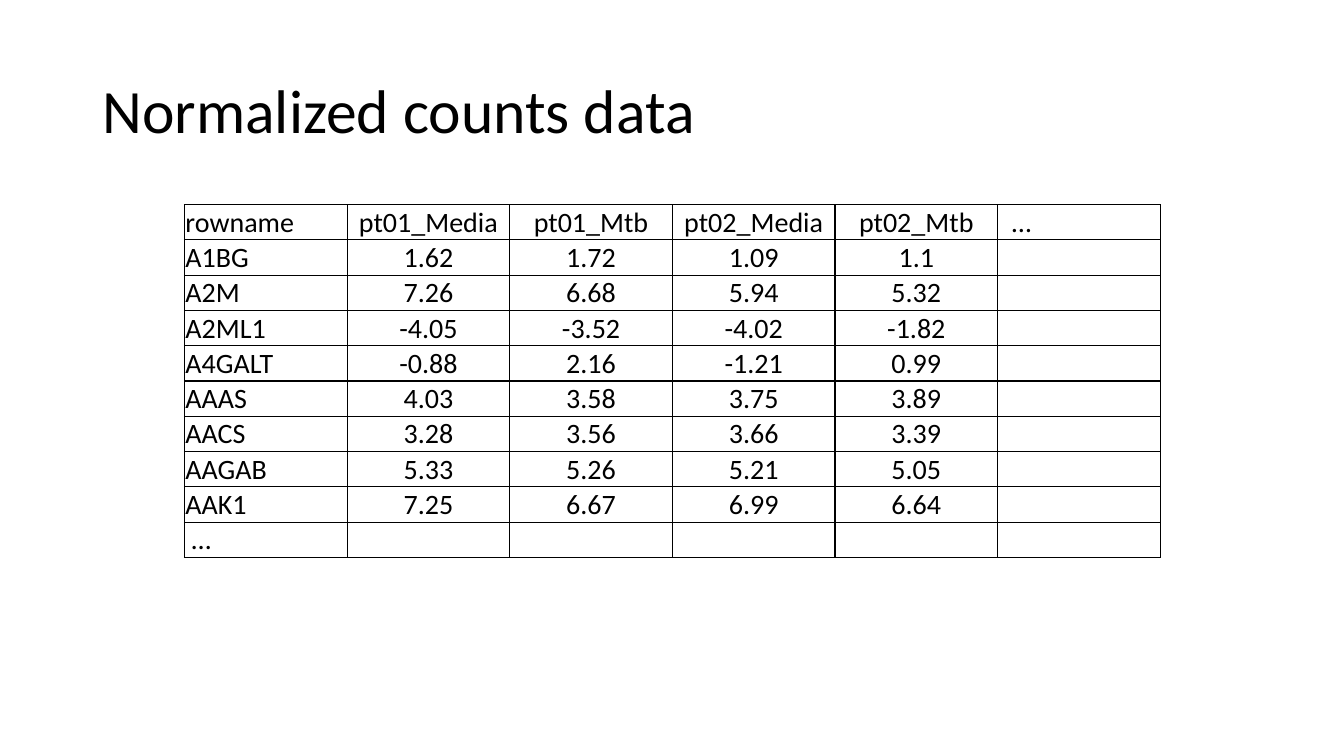
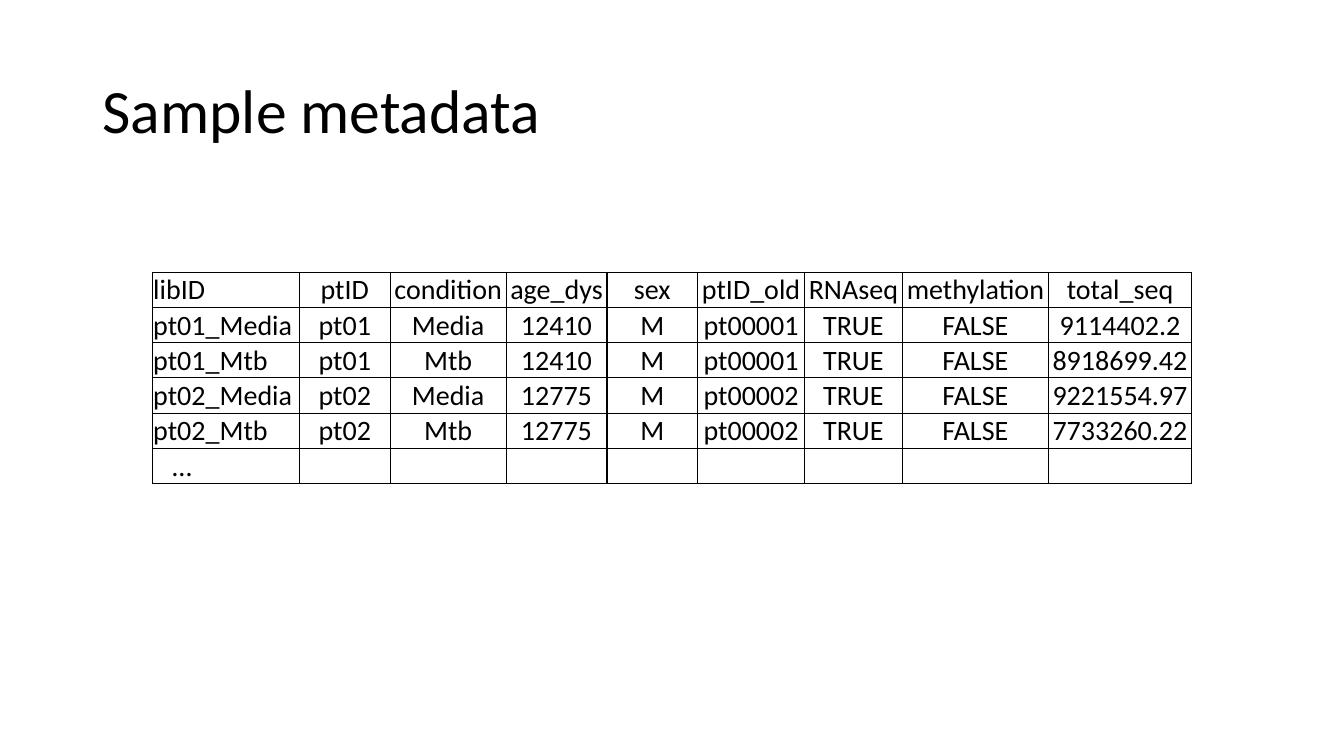
"""Build two slides of example tables: normalized counts and sample metadata."""
from lxml import etree
from pptx import Presentation
from pptx.dml.color import RGBColor
from pptx.enum.text import MSO_ANCHOR as ANCHOR, PP_ALIGN as ALIGN
from pptx.oxml import parse_xml
from pptx.oxml.ns import nsdecls
from pptx.util import Inches, Pt

BLACK = RGBColor(0x00, 0x00, 0x00)
FONT = "Calibri"
ROW_HEIGHT = 0.35
CELL_FORMAT = {
    "margin_left": Inches(0.01),
    "margin_right": Inches(0.01),
    "margin_top": Inches(0.01),
    "margin_bottom": 0,
    "vertical_anchor": ANCHOR.BOTTOM,
}
TITLE_FORMAT = {"word_wrap": True, "vertical_anchor": ANCHOR.MIDDLE}
BORDER = (
    '<a:{side} {ns} w="12700"><a:solidFill><a:srgbClr val="{color}"/>'
    "</a:solidFill></a:{side}>"
)

SLIDES = [
    {
        "title": "Normalized counts data",
        "left": 1.83,
        "top": 2.03,
        "widths": [9.68 / 6] * 6,
        "indents": {(0, 5): 0.14, (9, 0): 0.07},
        "rows": [
            ["rowname", "pt01_Media", "pt01_Mtb", "pt02_Media", "pt02_Mtb", "…"],
            ["A1BG", "1.62", "1.72", "1.09", "1.1"],
            ["A2M", "7.26", "6.68", "5.94", "5.32"],
            ["A2ML1", "-4.05", "-3.52", "-4.02", "-1.82"],
            ["A4GALT", "-0.88", "2.16", "-1.21", "0.99"],
            ["AAAS", "4.03", "3.58", "3.75", "3.89"],
            ["AACS", "3.28", "3.56", "3.66", "3.39"],
            ["AAGAB", "5.33", "5.26", "5.21", "5.05"],
            ["AAK1", "7.25", "6.67", "6.99", "6.64"],
            ["…"],
        ],
    },
    {
        "title": "Sample metadata",
        "left": 1.51,
        "top": 2.7,
        "widths": [1.46, 0.9, 1.15, 1, 0.9, 1.06, 0.97, 1.45, 1.42],
        "indents": {(5, 0): 0.2},
        "rows": [
            ["libID", "ptID", "condition", "age_dys", "sex", "ptID_old",
             "RNAseq", "methylation", "total_seq"],
            ["pt01_Media", "pt01", "Media", "12410", "M", "pt00001",
             "TRUE", "FALSE", "9114402.2"],
            ["pt01_Mtb", "pt01", "Mtb", "12410", "M", "pt00001",
             "TRUE", "FALSE", "8918699.42"],
            ["pt02_Media", "pt02", "Media", "12775", "M", "pt00002",
             "TRUE", "FALSE", "9221554.97"],
            ["pt02_Mtb", "pt02", "Mtb", "12775", "M", "pt00002",
             "TRUE", "FALSE", "7733260.22"],
            ["…"],
        ],
    },
]


def write(p, text, size):
    r = p.add_run()
    r.text = text
    r.font.name = FONT
    r.font.size = Pt(size)
    r.font.color.rgb = BLACK


def format_cell(cell):
    for name, value in CELL_FORMAT.items():
        setattr(cell, name, value)
    cell.fill.background()
    tc_pr = cell._tc.get_or_add_tcPr()
    for i, side in enumerate(("lnL", "lnR", "lnT", "lnB")):
        xml = BORDER.format(side=side, ns=nsdecls("a"), color=BLACK)
        tc_pr.insert(i, parse_xml(xml))


prs = Presentation()
prs.slide_width = Inches(13.33)
prs.slide_height = Inches(7.5)

for content in SLIDES:
    s = prs.slides.add_slide(prs.slide_layouts[6])

    title = s.shapes.add_textbox(Inches(0.92), Inches(0.4), Inches(11.5), Inches(1.45))
    tf = title.text_frame
    for name, value in TITLE_FORMAT.items():
        setattr(tf, name, value)
    p = tf.paragraphs[0]
    p.line_spacing = 0.9
    write(p, content["title"], 44)

    rows, widths = content["rows"], content["widths"]
    table = s.shapes.add_table(
        len(rows), len(widths), Inches(content["left"]), Inches(content["top"]),
        Inches(sum(widths)), Inches(ROW_HEIGHT * len(rows)),
    ).table
    table.first_row = table.horz_banding = False
    for column, width in zip(table.columns, widths):
        column.width = Inches(width)
    for cell in table.iter_cells():
        format_cell(cell)

    for i, row in enumerate(rows):
        for j, text in enumerate(row):
            cell = table.cell(i, j)
            p = cell.text_frame.paragraphs[0]
            write(p, text, 20)
            if (i, j) in content["indents"]:
                cell.margin_left = Inches(content["indents"][i, j])
            elif j > 0:
                p.alignment = ALIGN.CENTER

prs.save("out.pptx")
